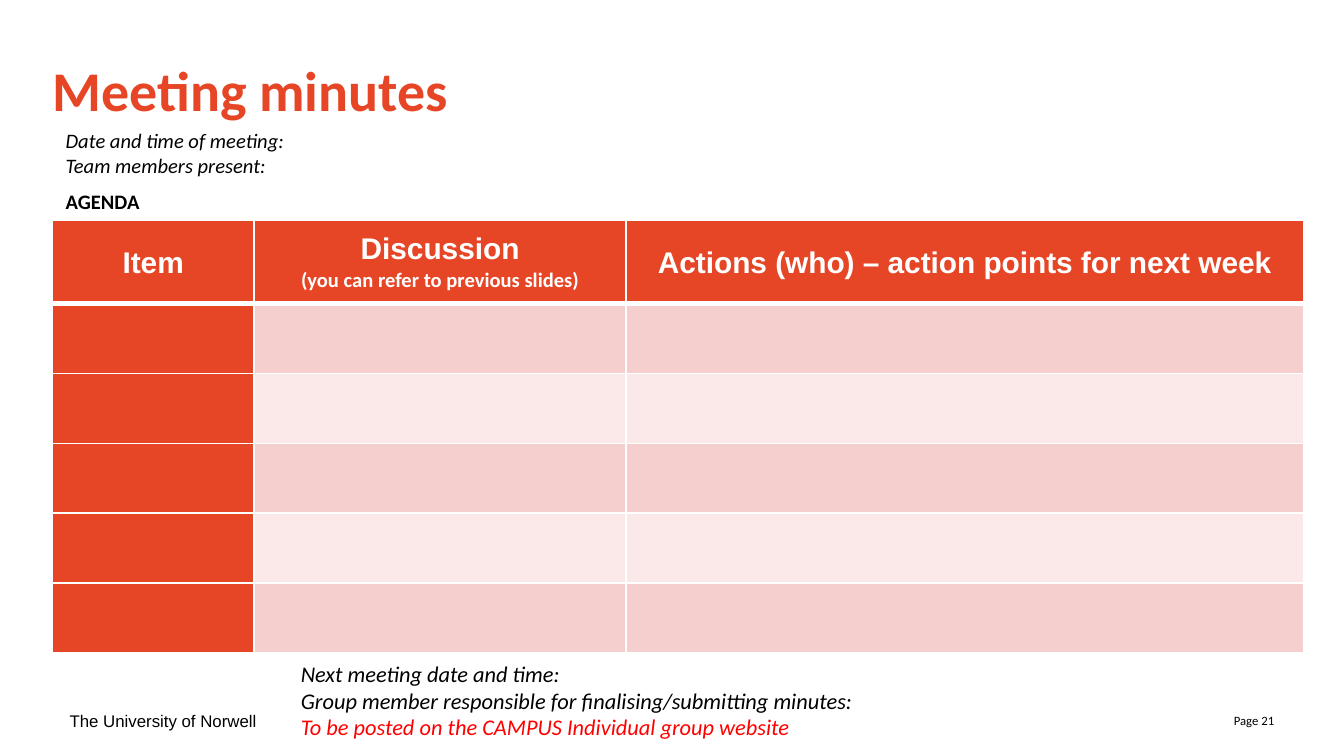
from dataclasses import dataclass
from typing import Optional

import pptx
import pptx.dml.color
import pptx.enum.text
import pptx.oxml
import pptx.oxml.ns
import pptx.util
from pptx.util import Inches

ANCHOR = pptx.enum.text.MSO_ANCHOR
ALIGN = pptx.enum.text.PP_ALIGN


@dataclass(frozen=True)
class Theme:
    accent: str = "E64626"
    band_dark: str = "F5CFCD"
    band_light: str = "FAE9E8"
    white: str = "FFFFFF"
    black: str = "000000"
    alert: str = "FF0000"
    body_font: str = "Calibri"
    label_font: str = "Arial"
    title_size: float = 30
    header_size: float = 16
    closing_size: float = 12
    detail_size: float = 11
    footer_size: float = 9
    page_size: float = 6.8


THEME = Theme()


@dataclass(frozen=True)
class Line:
    text: str
    size: float
    color: str = THEME.black
    font: str = THEME.body_font
    bold: bool = False
    italic: bool = False
    align: Optional[ALIGN] = None
    before: float = 0
    spacing: Optional[float] = None


@dataclass(frozen=True)
class Block:
    left: float
    top: float
    width: float
    height: float
    lines: tuple[Line, ...]
    anchor: ANCHOR = ANCHOR.MIDDLE
    padded: bool = True


def header_line(text: str, size: float = THEME.header_size,
                font: str = THEME.label_font) -> Line:
    return Line(text, size, THEME.white, font, bold=True,
                align=ALIGN.CENTER, spacing=1.07)


BLOCKS = (
    Block(7.25, 5.21, 2.33, 0.3,
          (Line("Page 21", THEME.page_size, align=ALIGN.RIGHT),)),
    Block(0.42, 5.21, 2.33, 0.3,
          (Line("The University of Norwell", THEME.footer_size, font=THEME.label_font),)),
    Block(0.39, 0.41, 9.22, 0.53,
          (Line("Meeting minutes", THEME.title_size, THEME.accent, bold=True),),
          ANCHOR.TOP, padded=False),
    Block(0.39, 0.9, 5.14, 0.74, (
        Line("Date and time of meeting:", THEME.detail_size, italic=True),
        Line("Team members present:", THEME.detail_size, italic=True),
        Line("AGENDA", THEME.detail_size, bold=True, before=6),
    )),
    Block(2.14, 4.86, 5, 0.71, (
        Line("Next meeting date and time:", THEME.closing_size, italic=True),
        Line("Group member responsible for finalising/submitting minutes:",
             THEME.closing_size, italic=True),
        Line("To be posted on the CAMPUS Individual group website",
             THEME.closing_size, THEME.alert, italic=True),
    ), ANCHOR.TOP),
)

HEADERS = (
    (header_line("Item"),),
    (header_line("Discussion"),
     header_line("(you can refer to previous slides)", THEME.detail_size, THEME.body_font)),
    (header_line("Actions (who) – action points for next week"),),
)
COLUMN_WIDTHS = (1.5, 2.77, 5.04)
HEADER_HEIGHT = 0.62
ITEM_HEIGHT = 0.52
ITEM_COUNT = 5


def rgb(color: str) -> pptx.dml.color.RGBColor:
    return pptx.dml.color.RGBColor.from_string(color)


def write_lines(tf, lines: tuple[Line, ...]) -> None:
    for i, line in enumerate(lines):
        p = tf.add_paragraph() if i else tf.paragraphs[0]
        p.text = line.text
        p.alignment = line.align
        p.line_spacing = line.spacing
        p.space_before = pptx.util.Pt(line.before)
        p.font.name = line.font
        p.font.size = pptx.util.Pt(line.size)
        p.font.bold = line.bold
        p.font.italic = line.italic
        p.font.color.rgb = rgb(line.color)


def add_block(s, block: Block) -> None:
    box = s.shapes.add_textbox(Inches(block.left), Inches(block.top),
                               Inches(block.width), Inches(block.height))
    tf = box.text_frame
    tf.word_wrap = True
    tf.vertical_anchor = block.anchor
    if not block.padded:
        tf.margin_left = tf.margin_right = tf.margin_top = tf.margin_bottom = 0
    write_lines(tf, block.lines)


def set_borders(cell, **widths: float) -> None:
    """Draw white borders; each keyword is a side (L, R, T, B) in points."""
    tc_pr = cell._tc.get_or_add_tcPr()
    for side, width in widths.items():
        tc_pr.append(pptx.oxml.parse_xml(
            f'<a:ln{side} {pptx.oxml.ns.nsdecls("a")} w="{pptx.util.Pt(width)}">'
            f'<a:solidFill><a:srgbClr val="{THEME.white}"/></a:solidFill></a:ln{side}>'))


def cell_fill(row: int, col: int) -> str:
    if row == 0 or col == 0:
        return THEME.accent
    return THEME.band_dark if row % 2 else THEME.band_light


def add_agenda(s) -> None:
    heights = (HEADER_HEIGHT,) + (ITEM_HEIGHT,) * ITEM_COUNT
    table = s.shapes.add_table(len(heights), len(COLUMN_WIDTHS), Inches(0.39), Inches(1.64),
                               Inches(sum(COLUMN_WIDTHS)), Inches(sum(heights))).table
    for column, width in zip(table.columns, COLUMN_WIDTHS):
        column.width = Inches(width)
    for r, height in enumerate(heights):
        table.rows[r].height = Inches(height)
        for c in range(len(COLUMN_WIDTHS)):
            cell = table.cell(r, c)
            set_borders(cell, L=1, R=1, T=3 if r == 1 else 1, B=3 if r == 0 else 1)
            cell.fill.solid()
            cell.fill.fore_color.rgb = rgb(cell_fill(r, c))
    for c, lines in enumerate(HEADERS):
        cell = table.cell(0, c)
        cell.vertical_anchor = ANCHOR.MIDDLE
        cell.margin_left = cell.margin_right = Inches(0.09)
        cell.margin_top = cell.margin_bottom = 0
        write_lines(cell.text_frame, lines)


def main() -> None:
    prs = pptx.Presentation()
    prs.slide_width = Inches(10)
    prs.slide_height = prs.slide_width * 9 // 16
    s = prs.slides.add_slide(prs.slide_layouts[6])
    add_agenda(s)
    for block in BLOCKS:
        add_block(s, block)
    prs.save("out.pptx")


if __name__ == "__main__":
    main()
